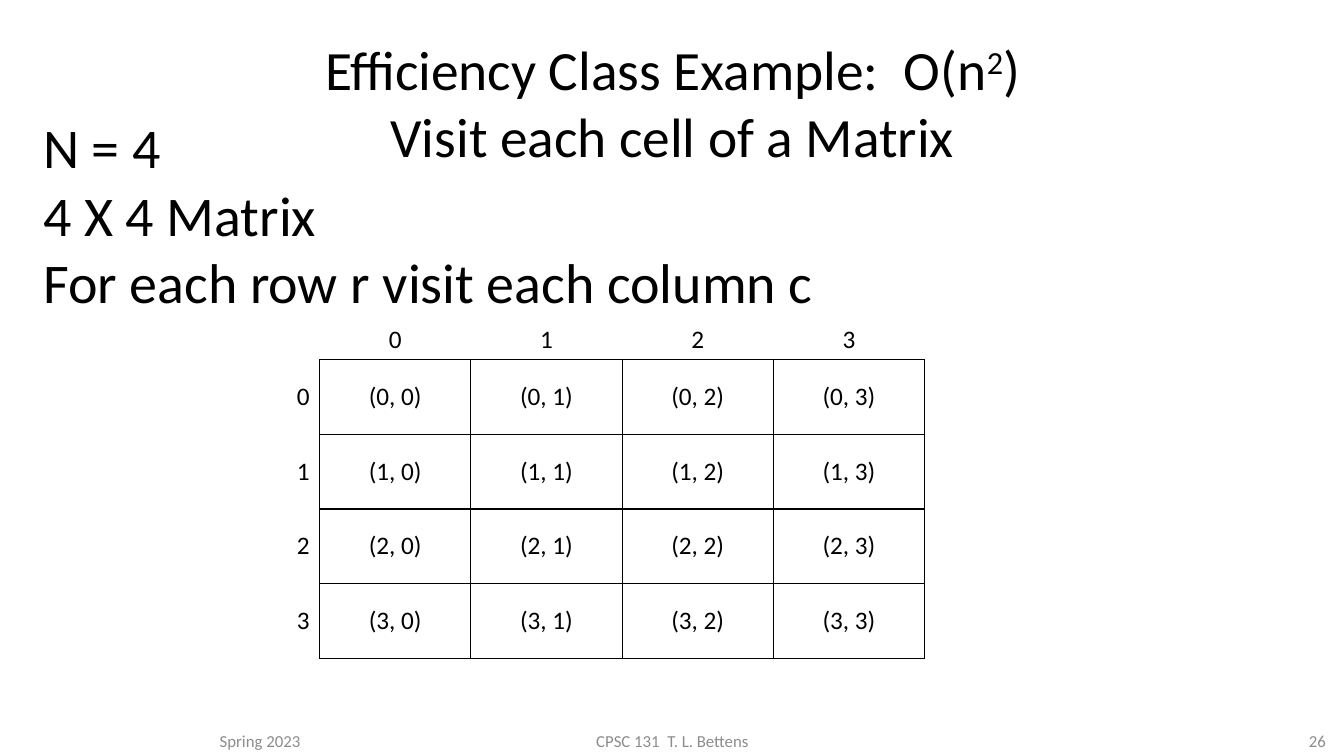
from lxml import etree
from pptx import Presentation
from pptx.dml.color import RGBColor
from pptx.enum.text import MSO_ANCHOR, PP_ALIGN
from pptx.oxml.ns import qn
from pptx.util import Inches, Pt

LEFT, CENTER, RIGHT = PP_ALIGN.LEFT, PP_ALIGN.CENTER, PP_ALIGN.RIGHT
TOP, MIDDLE, BOTTOM = MSO_ANCHOR.TOP, MSO_ANCHOR.MIDDLE, MSO_ANCHOR.BOTTOM
BLACK, GRAY = "000000", "8C8C8C"
N = 4


def style(para, size, color, align):
    para.alignment = align
    para.font.name = "Calibri"
    para.font.size = Pt(size)
    para.font.color.rgb = RGBColor.from_string(color)


def border(cell, side, shown):
    line = etree.SubElement(cell._tc.get_or_add_tcPr(), qn(f"a:ln{side}"), w="12700")
    if shown:
        fill = etree.SubElement(line, qn("a:solidFill"))
        etree.SubElement(fill, qn("a:srgbClr"), val=BLACK)
    else:
        etree.SubElement(line, qn("a:noFill"))


prs = Presentation()
prs.slide_width, prs.slide_height = Inches(13.33), Inches(7.5)
slide = prs.slides.add_slide(prs.slide_layouts[5])

# Title with a superscript
title = slide.shapes.title
title.left, title.top = Inches(0.17), Inches(0.3)
title.width, title.height = Inches(13), Inches(1.25)
frame = title.text_frame
frame.vertical_anchor = TOP
para = frame.paragraphs[0]
para.add_run().text = "Efficiency Class Example:  O(n"
power = para.add_run()
power.text = "2"
power._r.get_or_add_rPr().set("baseline", "30000")
para.add_run().text = ")"
para.add_line_break()
para.add_run().text = "Visit each cell of a Matrix"
style(para, 39.6, BLACK, CENTER)

# Matrix with row and column numbers
grid = slide.shapes.add_table(N + 1, N + 1, Inches(1.67), Inches(2.83),
                              Inches(7.5), Inches(3.7)).table
grid.first_row = grid.horz_banding = False
for row in range(N + 1):
    for col in range(N + 1):
        cell = grid.cell(row, col)
        inner = row > 0 and col > 0
        border(cell, "L", inner)
        border(cell, "R", row > 0)
        border(cell, "T", inner)
        border(cell, "B", col > 0)
        cell.fill.background()
        cell.vertical_anchor = MIDDLE if row else BOTTOM
        if inner:
            cell.text = f"({row - 1}, {col - 1})"
        elif row or col:
            cell.text = str(row + col - 1)
        style(cell.text_frame.paragraphs[0], 18, BLACK, CENTER if col else RIGHT)

# Notes on the matrix, then the footer
notes = ["N = 4", "4 X 4 Matrix", "For each row r visit each column c"]
for left, top, width, height, lines, size, color, align, anchor in [
    (0.33, 1.07, 7.91, 2.12, notes, 40, BLACK, LEFT, TOP),
    (2.08, 6.95, 2.33, 0.55, ["Spring 2023"], 12, GRAY, LEFT, BOTTOM),
    (4.42, 6.95, 4.5, 0.55, ["CPSC 131  T. L. Bettens"], 12, GRAY, CENTER, BOTTOM),
    (10.25, 6.95, 3, 0.55, ["26"], 12, GRAY, RIGHT, BOTTOM),
]:
    box = slide.shapes.add_textbox(Inches(left), Inches(top), Inches(width), Inches(height))
    frame = box.text_frame
    frame.word_wrap = len(lines) == 1
    frame.vertical_anchor = anchor
    frame.text = "\n".join(lines)
    for para in frame.paragraphs:
        style(para, size, color, align)

prs.save("out.pptx")
